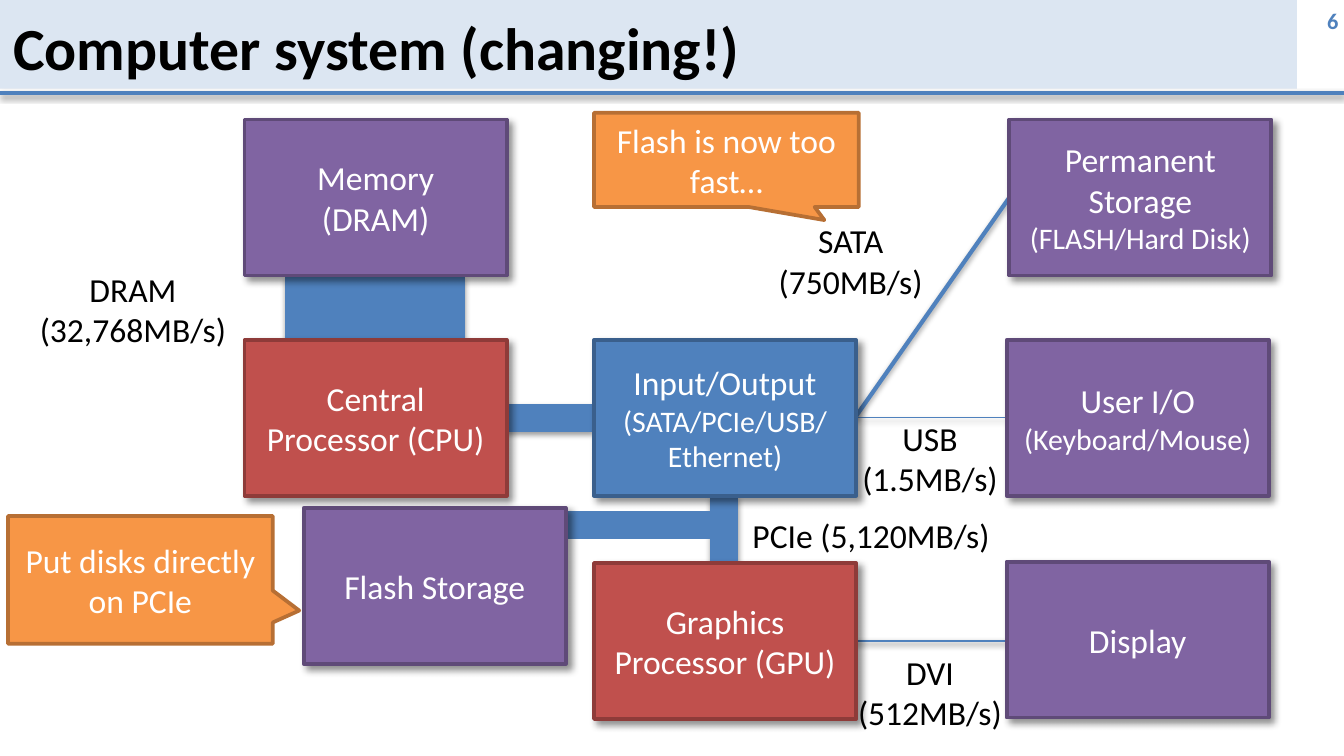
from typing import NamedTuple

from lxml import etree
from pptx import Presentation
from pptx.dml.color import RGBColor
from pptx.enum import shapes as sh, text as tx
from pptx.oxml.ns import qn
from pptx.util import Inches, Pt

HUES = {
    "blue": "4F81BD", "navy": "3A5F8C", "pale": "DCE6F2",
    "plum": "8064A2", "grape": "5F4A78", "red": "C0504D", "wine": "8E3B39",
    "gold": "F79646", "rust": "B76F34", "white": "FFFFFF", "black": "000000",
}
EDGES = {"blue": "navy", "plum": "grape", "red": "wine", "gold": "rust"}
WIDE, HIGH = 1.95, 1.16  # size of every block


class Glow(NamedTuple):
    alpha: int
    blur: float
    dist: float
    angle: int


class Block(NamedTuple):
    x: float
    y: float
    hue: str
    head: str
    note: str = ""


class Wire(NamedTuple):
    x1: float
    y1: float
    x2: float
    y2: float
    width: float
    shade: bool = True


class Label(NamedTuple):
    x: float
    y: float
    wide: float
    lines: tuple[str, ...]


class Callout(NamedTuple):
    x: float
    y: float
    wide: float
    high: float
    tip: tuple[float, float]
    words: str


SOFT = Glow(38, 3.1, 1.6, 90)
DEEP = Glow(43, 4, 3, 45)

WIRES = [
    Wire(7.51, 1.47, 6.36, 3.11, 2.25),         # SATA
    Wire(7.49, 4.77, 6.36, 4.77, 1.5),          # DVI
    Wire(2.79, 2.05, 2.79, 2.53, 96),           # DRAM
    Wire(4.42, 3.11, 3.77, 3.11, 15),           # CPU to I/O
    Wire(5.39, 3.69, 5.39, 4.19, 15),           # PCIe
    Wire(7.49, 3.11, 6.36, 3.11, 0.5),          # USB
    Wire(5.39, 3.91, 4.21, 3.91, 15, False),    # PCIe to flash
]
BLOCKS = [
    Block(7.51, 0.89, "plum", "Permanent Storage", "(FLASH/Hard Disk)"),
    Block(1.82, 0.89, "plum", "Memory\n(DRAM)"),
    Block(1.82, 2.53, "red", "Central Processor (CPU)"),
    Block(7.49, 2.53, "plum", "User I/O", "(Keyboard/Mouse)"),
    Block(7.49, 4.18, "plum", "Display"),
    Block(4.42, 4.19, "red", "Graphics Processor (GPU)"),
    Block(4.42, 2.53, "blue", "Input/Output", "(SATA/PCIe/USB/Ethernet)"),
    Block(2.26, 3.78, "plum", "Flash Storage"),
]
LABELS = [
    Label(5.66, 1.59, 1.34, ("SATA", "(750MB/s)")),
    Label(6.25, 4.8, 1.34, ("DVI", "(512MB/s)")),
    Label(0.17, 1.95, 1.64, ("DRAM", "(32,768MB/s)")),
    Label(6.25, 3.06, 1.34, ("USB", "(1.5MB/s)")),
    Label(5.5, 3.78, 1.99, ("PCIe (5,120MB/s)",)),
]
CALLOUTS = [
    Callout(4.42, 0.84, 1.97, 0.7, (0.37, 0.64), "Flash is now too fast…"),
    Callout(0.06, 3.84, 1.97, 0.95, (0.6, 0.24), "Put disks directly on PCIe"),
]


def tint(name: str) -> RGBColor:
    return RGBColor.from_string(HUES[name])


def shade(props, glow: Glow | None) -> None:
    """Replace the theme's effects by one outer shadow, or by none."""
    for old in props.findall(qn("a:effectLst")):
        props.remove(old)
    fx = etree.SubElement(props, qn("a:effectLst"))
    if glow:
        drop = etree.SubElement(
            fx, qn("a:outerShdw"), blurRad=str(Pt(glow.blur)), dist=str(Pt(glow.dist)),
            dir=str(glow.angle * 60000), algn="ctr", rotWithShape="0")
        hue = etree.SubElement(drop, qn("a:srgbClr"), val=HUES["black"])
        etree.SubElement(hue, qn("a:alpha"), val=str(glow.alpha * 1000))


def write(frame, lines, hue: str = "black", bold: bool = False,
          align=tx.PP_ALIGN.CENTER, anchor=tx.MSO_ANCHOR.MIDDLE) -> None:
    """Fill a text frame with (words, size) lines."""
    frame.word_wrap = True
    frame.vertical_anchor = anchor
    for i, (words, size) in enumerate(lines):
        para = frame.add_paragraph() if i else frame.paragraphs[0]
        para.text = words
        para.alignment = align
        font = para.font
        font.name, font.size, font.bold = "Calibri", Pt(size), bold
        font.color.rgb = tint(hue)


def add_shape(slide, kind, x: float, y: float, wide: float, high: float, hue: str):
    shape = slide.shapes.add_shape(kind, Inches(x), Inches(y), Inches(wide), Inches(high))
    shape.shadow.inherit = False
    shape.fill.solid()
    shape.fill.fore_color.rgb = tint(hue)
    if hue in EDGES:
        shape.line.color.rgb = tint(EDGES[hue])
        shape.line.width = Pt(2)
    else:
        shape.line.fill.background()
    return shape


def add_text(slide, x: float, y: float, wide: float, high: float):
    return slide.shapes.add_textbox(
        Inches(x), Inches(y), Inches(wide), Inches(high)).text_frame


def add_wire(slide, wire: Wire) -> None:
    line = slide.shapes.add_connector(
        sh.MSO_CONNECTOR.STRAIGHT, Inches(wire.x1), Inches(wire.y1),
        Inches(wire.x2), Inches(wire.y2))
    line.line.color.rgb = tint("blue")
    line.line.width = Pt(wire.width)
    shade(line._element.spPr, SOFT if wire.shade else None)


def add_block(slide, block: Block) -> None:
    shape = add_shape(slide, sh.MSO_SHAPE.RECTANGLE, block.x, block.y, WIDE, HIGH, block.hue)
    shade(shape._element.spPr, DEEP)
    lines = [(words, 18) for words in block.head.split("\n")]
    if block.note:
        lines.append((block.note, 16))
    write(shape.text_frame, lines, "white")


def add_label(slide, label: Label) -> None:
    pair = len(label.lines) > 1
    frame = add_text(slide, label.x, label.y, label.wide, 0.71 if pair else 0.4)
    write(frame, [(words, 18) for words in label.lines], anchor=tx.MSO_ANCHOR.TOP,
          align=tx.PP_ALIGN.CENTER if pair else tx.PP_ALIGN.LEFT)
    frame.word_wrap = pair


def add_callout(slide, call: Callout) -> None:
    shape = add_shape(slide, sh.MSO_SHAPE.RECTANGULAR_CALLOUT,
                      call.x, call.y, call.wide, call.high, "gold")
    shape.adjustments[0], shape.adjustments[1] = call.tip
    write(shape.text_frame, [(call.words, 18)], "white")


def main() -> None:
    deck = Presentation()
    deck.slide_width = Inches(10)
    deck.slide_height = Inches(10 * 9 / 16)
    slide = deck.slides.add_slide(deck.slide_layouts[6])

    # Header band, rule, title and page number
    add_shape(slide, sh.MSO_SHAPE.RECTANGLE, 0, 0, 9.65, 0.66, "pale")
    add_wire(slide, Wire(0, 0.69, 10, 0.69, 2))
    write(add_text(slide, 0, 0.03, 9.88, 0.63), [("Computer system (changing!)", 32)],
          bold=True, align=tx.PP_ALIGN.LEFT)
    page = add_text(slide, 9.33, 0, 0.67, 0.3)
    page.margin_left = page.margin_right = Inches(0.04)
    write(page, [("6", 12)], "blue", True, tx.PP_ALIGN.RIGHT)

    # Diagram, from back to front
    for wire in WIRES:
        add_wire(slide, wire)
    for block in BLOCKS:
        add_block(slide, block)
    for label in LABELS:
        add_label(slide, label)
    for call in CALLOUTS:
        add_callout(slide, call)

    deck.save("out.pptx")


if __name__ == "__main__":
    main()
